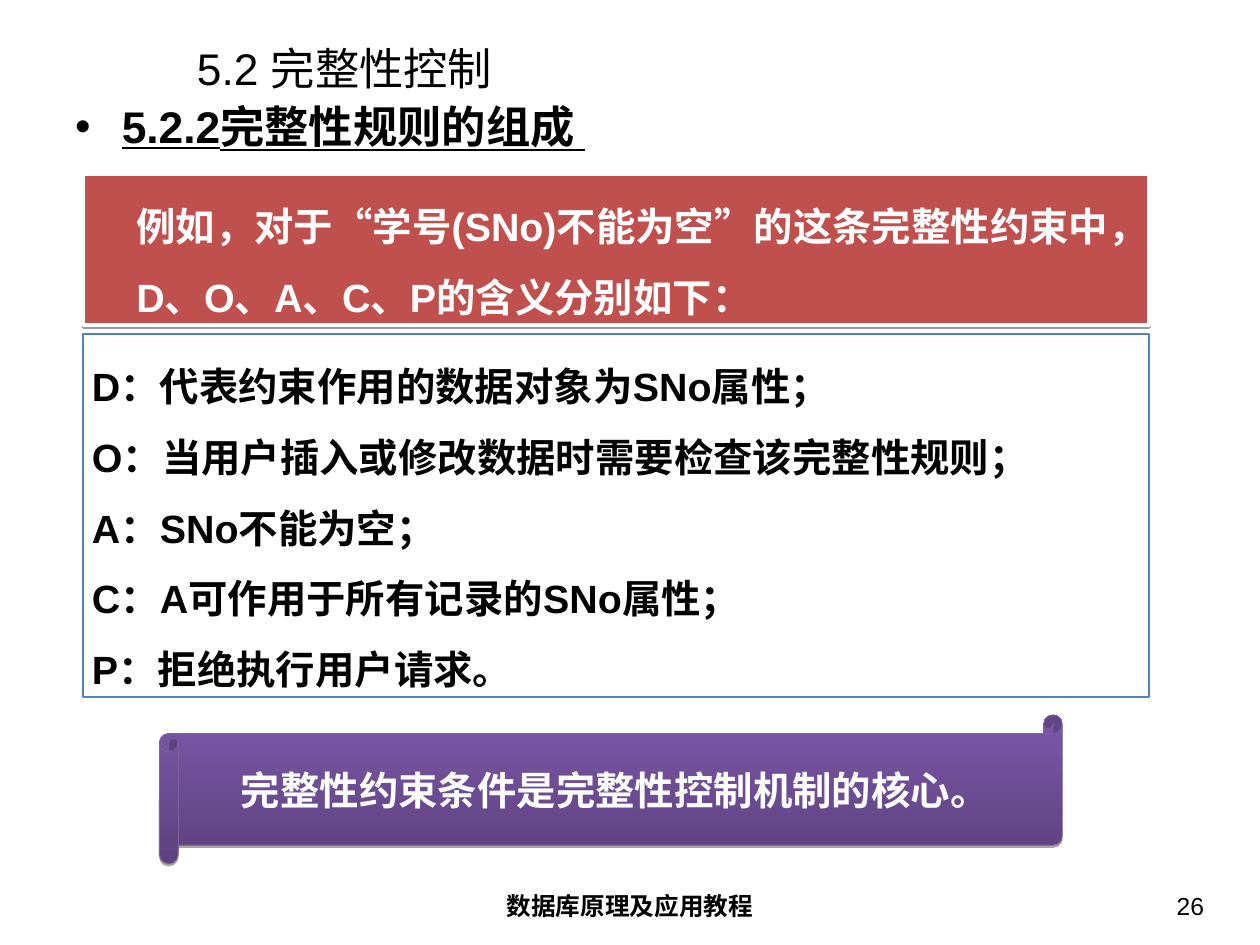
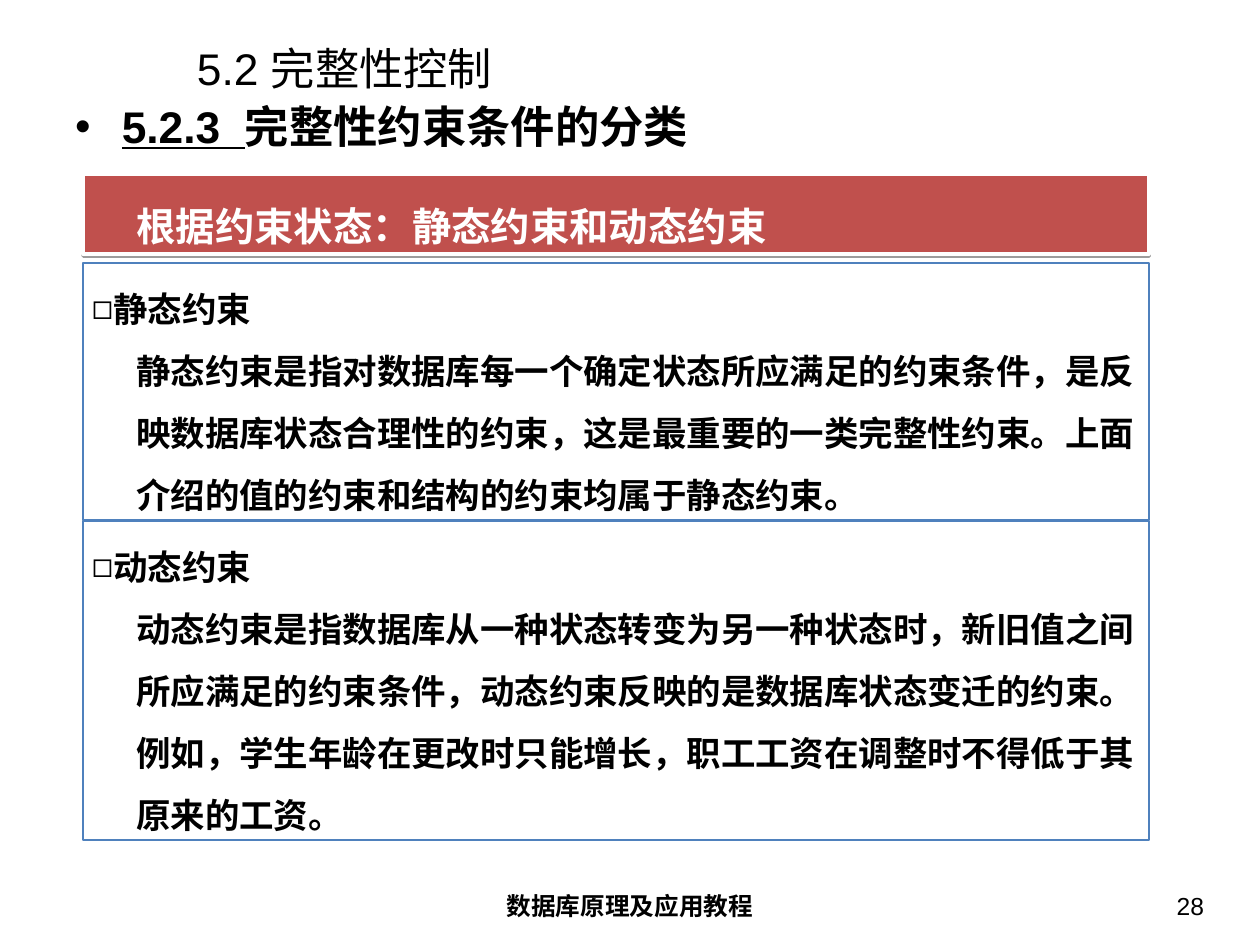
import pptx
import pptx.dml.color
import pptx.enum.dml
import pptx.enum.lang
import pptx.enum.shapes
import pptx.enum.text
import pptx.oxml
import pptx.oxml.ns
import pptx.util

Pt = pptx.util.Pt
Align = pptx.enum.text.PP_ALIGN
Anchor = pptx.enum.text.MSO_ANCHOR
Fit = pptx.enum.text.MSO_AUTO_SIZE
Kind = pptx.enum.shapes.MSO_SHAPE
Lang = pptx.enum.lang.MSO_LANGUAGE_ID

FONT = "Arial"
BLACK, WHITE, RED, BLUE = "000000", "FFFFFF", "C0504D", "4F81BD"
DARK, LIGHT, EDGE = "5D417E", "7B57A8", "7D60A0"
LEFT, WIDTH, INDENT = 67.7, 866.2, 36
TOP = 141.8
WIDE, THIN = (10, 5), (7.2, 3.6)


def color(code):
    return pptx.dml.color.RGBColor.from_string(code)


def inset(frame, pads):
    side, edge = pads
    frame.margin_left = frame.margin_right = Pt(side)
    frame.margin_top = frame.margin_bottom = Pt(edge)


def place(shape, left, top, width, height):
    shape.left, shape.top = Pt(left), Pt(top)
    shape.width, shape.height = Pt(width), Pt(height)


def write(para, text, size, tint=BLACK, bold=True, under=False):
    run = para.add_run()
    run.text = text
    font = run.font
    font.name, font.size = FONT, Pt(size)
    font.bold, font.underline = bold, under
    font.color.rgb = color(tint)
    font.language_id = Lang.SIMPLIFIED_CHINESE


def indent(para, left, first=0):
    props = para._p.get_or_add_pPr()
    props.set("marL", str(Pt(left)))
    props.set("indent", str(Pt(first)))


def bullet(para, mark):
    space = pptx.oxml.ns.nsdecls("a")
    props = para._p.get_or_add_pPr()
    for xml in (
        f'<a:buClr {space}><a:srgbClr val="{BLACK}"/></a:buClr>',
        f'<a:buFont {space} typeface="{FONT}"/>',
        f'<a:buChar {space} char="{mark}"/>',
    ):
        props.append(pptx.oxml.parse_xml(xml))


def shadow(shape, alpha, drop):
    shape.shadow.inherit = False
    space = pptx.oxml.ns.nsdecls("a")
    effect = shape._element.spPr.find(pptx.oxml.ns.qn("a:effectLst"))
    effect.append(pptx.oxml.parse_xml(
        f'<a:outerShdw {space} dist="{Pt(drop)}" dir="5400000" rotWithShape="0">'
        f'<a:srgbClr val="{BLACK}"><a:alpha val="{alpha * 1000}"/></a:srgbClr>'
        '</a:outerShdw>'))


def label(slide, area, align=Align.LEFT):
    shape = slide.shapes.add_textbox(*map(Pt, area))
    frame = shape.text_frame
    frame.word_wrap = True
    inset(frame, WIDE)
    para = frame.paragraphs[0]
    para.alignment = align
    return para


def panel(slide, top, height, lines, size, fill=WHITE, edge=BLUE, weight=2, tint=BLACK):
    area = map(Pt, (LEFT, top, WIDTH, height))
    shape = slide.shapes.add_shape(Kind.RECTANGLE, *area)
    shape.shadow.inherit = False
    shape.fill.solid()
    shape.fill.fore_color.rgb = color(fill)
    shape.line.color.rgb = color(edge)
    shape.line.width = Pt(weight)
    frame = shape.text_frame
    frame.word_wrap = True
    frame.auto_size = Fit.SHAPE_TO_FIT_TEXT
    frame.vertical_anchor = Anchor.TOP
    inset(frame, THIN)
    for spot, (text, level, mark) in enumerate(lines):
        para = frame.add_paragraph() if spot else frame.paragraphs[0]
        para.alignment = Align.LEFT
        para.level = level
        indent(para, level * INDENT)
        if mark:
            bullet(para, mark)
        para.line_spacing = 1.5
        write(para, text, size, tint)
    return shape


def banner(slide, height, text):
    shape = panel(slide, TOP, height, [(text, 1, "")], 32, RED, WHITE, 3, WHITE)
    shadow(shape, 38, 1.6)


def topic(slide, top, height, name, texts):
    lines = [(name, 0, "◻")] + [(text, 1, "") for text in texts]
    panel(slide, top, height, lines, 28)


def scroll(slide, area, text):
    shape = slide.shapes.add_shape(Kind.HORIZONTAL_SCROLL, *map(Pt, area))
    shadow(shape, 35, 1.8)
    shape.fill.gradient()
    shape.fill.gradient_angle = 90
    for stop, code, spot in zip(shape.fill.gradient_stops, (DARK, LIGHT), (0, 1)):
        stop.color.rgb = color(code)
        stop.position = spot
    shape.line.color.rgb = color(EDGE)
    shape.line.width = Pt(0.75)
    frame = shape.text_frame
    frame.word_wrap = False
    frame.vertical_anchor = Anchor.MIDDLE
    inset(frame, WIDE)
    para = frame.paragraphs[0]
    para.alignment = Align.CENTER
    write(para, text, 32, WHITE)


def page(deck, number, parts):
    slide = deck.slides.add_slide(deck.slide_layouts[5])
    title = slide.shapes.title
    place(title, 150, 34.6, 852, 41)
    frame = title.text_frame
    frame.word_wrap = True
    frame.auto_size = Fit.NONE
    frame.vertical_anchor = Anchor.MIDDLE
    inset(frame, WIDE)
    para = frame.paragraphs[0]
    para.alignment = Align.LEFT
    write(para, "5.2 完整性控制", 36, bold=False)

    head = label(slide, (51, 75.6, 921.6, 64))
    indent(head, 38, -38)
    bullet(head, "•")
    for text, under in parts:
        write(head, text, 36, under=under)

    foot = label(slide, (350, 718.6, 324, 39.6), Align.CENTER)
    write(foot, "数据库原理及应用教程", 20)
    count = label(slide, (749.5, 718.6, 239, 39.6), Align.RIGHT)
    write(count, number, 20, bold=False)
    return slide


def rules(deck):
    slide = page(deck, "26", [("5.2.2完整性规则的组成 ", True)])
    banner(slide, 122.4, "例如，对于“学号(SNo)不能为空”的这条完整性约束中，D、O、A、C、P的含义分别如下：")
    texts = (
        "D：代表约束作用的数据对象为SNo属性；",
        "O：当用户插入或修改数据时需要检查该完整性规则；",
        "A：SNo不能为空；",
        "C：A可作用于所有记录的SNo属性；",
        "P：拒绝执行用户请求。",
    )
    panel(slide, 271.4, 295.2, [(text, 0, "") for text in texts], 32)
    scroll(slide, (129.6, 581, 733.7, 121), "完整性约束条件是完整性控制机制的核心。")


def types(deck):
    slide = page(deck, "28", [("5.2.3  ", True), ("完整性约束条件的分类", False)])
    banner(slide, 64.8, "根据约束状态：静态约束和动态约束")
    topic(slide, 213.8, 208.8, "静态约束", [
        "静态约束是指对数据库每一个确定状态所应满足的约束条件，是反映数据库状态合理性的约束，"
        "这是最重要的一类完整性约束。上面介绍的值的约束和结构的约束均属于静态约束。",
    ])
    topic(slide, 423.4, 259.2, "动态约束", [
        "动态约束是指数据库从一种状态转变为另一种状态时，新旧值之间所应满足的约束条件，"
        "动态约束反映的是数据库状态变迁的约束。",
        "例如，学生年龄在更改时只能增长，职工工资在调整时不得低于其原来的工资。",
    ])


def main():
    deck = pptx.Presentation()
    deck.slide_width, deck.slide_height = Pt(1024), Pt(768)
    rules(deck)
    types(deck)
    deck.save("out.pptx")


if __name__ == "__main__":
    main()
